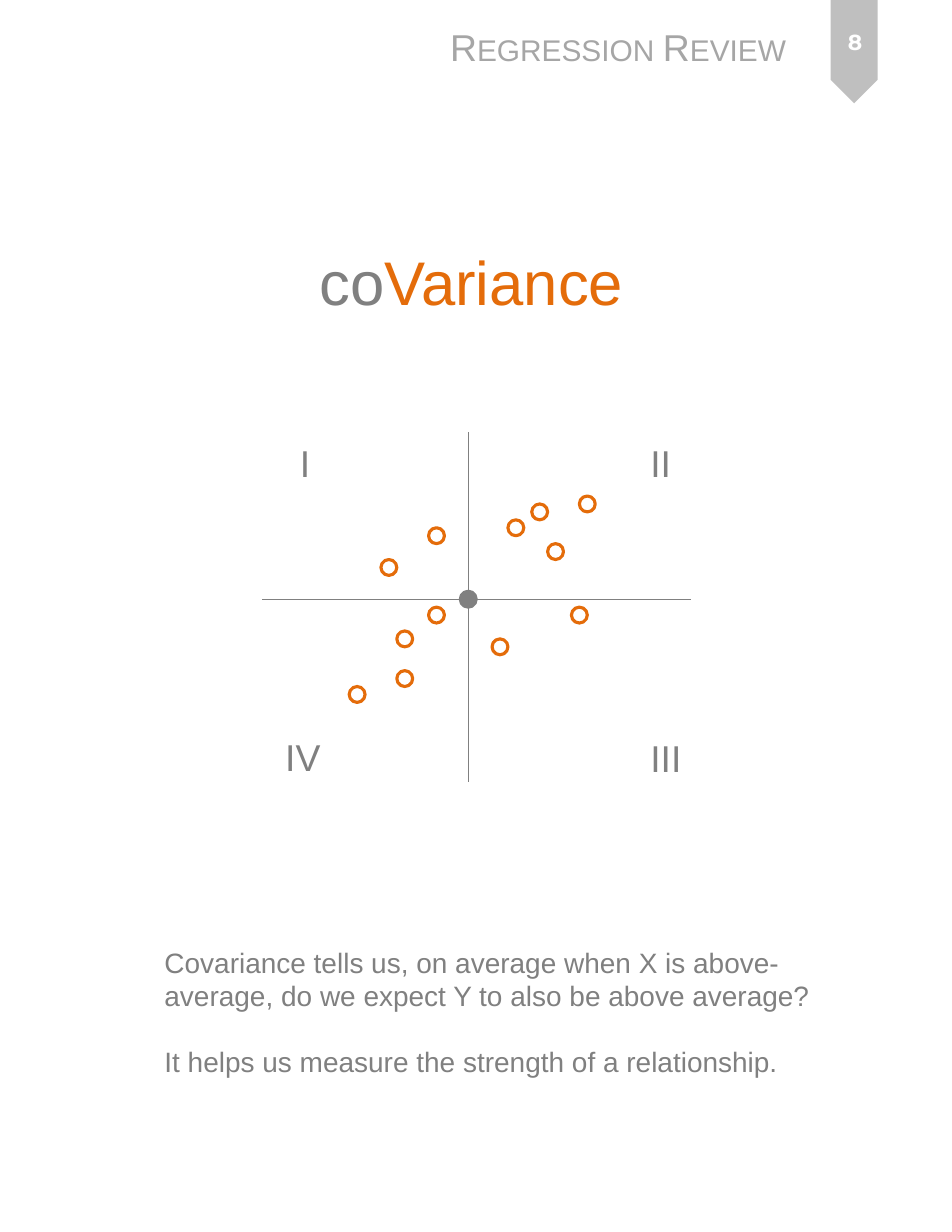
"""Build the covariance page of the regression review deck."""
from dataclasses import dataclass

from lxml.etree import SubElement
from pptx import Presentation
from pptx.dml.color import RGBColor
from pptx.enum.shapes import MSO_CONNECTOR, MSO_SHAPE
from pptx.enum.text import MSO_ANCHOR, MSO_AUTO_SIZE, PP_ALIGN
from pptx.oxml.ns import qn
from pptx.util import Cm, Pt


@dataclass(frozen=True)
class Theme:
    gray: RGBColor = RGBColor(0x80, 0x80, 0x80)
    orange: RGBColor = RGBColor(0xE4, 0x6C, 0x0A)
    banner: RGBColor = RGBColor(0xBF, 0xBF, 0xBF)
    header: RGBColor = RGBColor(0xA6, 0xA6, 0xA6)
    white: RGBColor = RGBColor(0xFF, 0xFF, 0xFF)
    font: str = "Arial"
    number_font: str = "Montserrat"
    title_size: float = 39.6
    label_size: float = 24
    body_size: float = 18
    number_size: float = 14
    axis_width: float = 0.75
    dot_width: float = 2


THEME = Theme()
CENTER_X, CENTER_Y = 10.62, 13.59
GRID_STEP = 0.18
DOT_SIZE = 0.36
POINTS = [
    (11, -6), (15, -12), (-4, -8), (-10, -4), (-4, 2), (-8, 5),
    (6, -9), (9, -11), (-8, 10), (-14, 12), (4, 6), (14, 2),
]
QUADRANTS = [
    ("I", 6.55, 9.86, 0.86),
    ("II", 14.5, 9.86, 1.19),
    ("IV", 6.22, 16.51, 1.37),
    ("III", 14.5, 16.54, 1.52),
]


def add_span(para, text, *, size, color=THEME.gray, font=THEME.font, bold=False, small_caps=False):
    """Append formatted text to a paragraph."""
    span = para.add_run()
    span.text = text
    span.font.size = Pt(size)
    span.font.name = font
    span.font.bold = bold
    span.font.color.rgb = color
    if small_caps:
        span.font._element.set("cap", "small")


def add_text(page, area, paragraphs, *, align=PP_ALIGN.LEFT, anchor=MSO_ANCHOR.TOP,
             wrap=True, grow=False, gap=0, top_inset=0.13, **style):
    """Add a text box whose paragraphs are lists of (text, color) pairs."""
    frame = page.shapes.add_textbox(*map(Cm, area)).text_frame
    frame.word_wrap = wrap
    frame.auto_size = MSO_AUTO_SIZE.SHAPE_TO_FIT_TEXT if grow else MSO_AUTO_SIZE.NONE
    frame.vertical_anchor = anchor
    frame.margin_top = Cm(top_inset)
    for index, spans in enumerate(paragraphs):
        para = frame.add_paragraph() if index else frame.paragraphs[0]
        para.alignment = align
        if index:
            para.space_before = Pt(gap)
        for text, color in spans:
            add_span(para, text, color=color, **style)


def add_banner(page):
    """Add the page marker that points down from the top edge."""
    banner = page.shapes.add_shape(MSO_SHAPE.PENTAGON, Cm(18.2), Cm(0.64), Cm(2.34), Cm(1.07))
    banner.rotation = 90
    banner.shadow.inherit = False
    banner.fill.solid()
    banner.fill.fore_color.rgb = THEME.banner
    banner.line.fill.background()


def add_axis(page, start, end):
    """Add one straight axis line."""
    axis = page.shapes.add_connector(MSO_CONNECTOR.STRAIGHT, *map(Cm, start + end))
    axis.line.color.rgb = THEME.gray
    axis.line.width = Pt(THEME.axis_width)
    SubElement(axis._element.spPr, qn("a:effectLst"))


def add_dot(page, column, row, color, filled=False):
    """Add a dot at a grid position counted from the crossing of the axes."""
    left = CENTER_X + column * GRID_STEP - DOT_SIZE / 2
    top = CENTER_Y + row * GRID_STEP - DOT_SIZE / 2
    dot = page.shapes.add_shape(MSO_SHAPE.OVAL, Cm(left), Cm(top), Cm(DOT_SIZE), Cm(DOT_SIZE))
    dot.shadow.inherit = False
    dot.line.color.rgb = color
    dot.line.width = Pt(THEME.dot_width)
    if filled:
        dot.fill.solid()
        dot.fill.fore_color.rgb = color
    else:
        dot.fill.background()


def add_scatter(page):
    """Add the axes, the mean, the observations and the quadrant labels."""
    add_axis(page, (CENTER_X, 9.8), (CENTER_X, 17.73))
    add_axis(page, (15.67, CENTER_Y), (5.94, CENTER_Y))
    add_dot(page, 0, 0, THEME.gray, filled=True)
    for column, row in POINTS:
        add_dot(page, column, row, THEME.orange)
    for label, left, top, width in QUADRANTS:
        add_text(page, (left, top, width, 1.28), [[(label, THEME.gray)]],
                 size=THEME.label_size, wrap=False, grow=True)


def main():
    """Build and save the deck."""
    deck = Presentation()
    deck.slide_width, deck.slide_height = Cm(21.59), Cm(27.94)
    page = deck.slides.add_slide(deck.slide_layouts[6])
    add_banner(page)
    add_text(page, (18.44, 0.2, 1.9, 1.5), [[("8", THEME.white)]], size=THEME.number_size,
             font=THEME.number_font, bold=True, align=PP_ALIGN.CENTER, anchor=MSO_ANCHOR.MIDDLE)
    add_text(page, (9.96, 0.43, 8.25, 1.28), [[("Regression Review", THEME.header)]],
             size=THEME.label_size, small_caps=True, wrap=False, grow=True)
    add_text(page, (1.52, 3.61, 18.34, 4.45), [[("co", THEME.gray), ("Variance", THEME.orange)]],
             size=THEME.title_size, align=PP_ALIGN.CENTER, top_inset=1.93)
    add_text(page, (3.48, 21.31, 15.34, 3.33), [
        [("Covariance tells us, on average when X is above-average, "
          "do we expect Y to also be above average?", THEME.gray)],
        [("It helps us measure the strength of a relationship.", THEME.gray)],
    ], size=THEME.body_size, grow=True, gap=20.7)
    add_scatter(page)
    deck.save("out.pptx")


if __name__ == "__main__":
    main()
